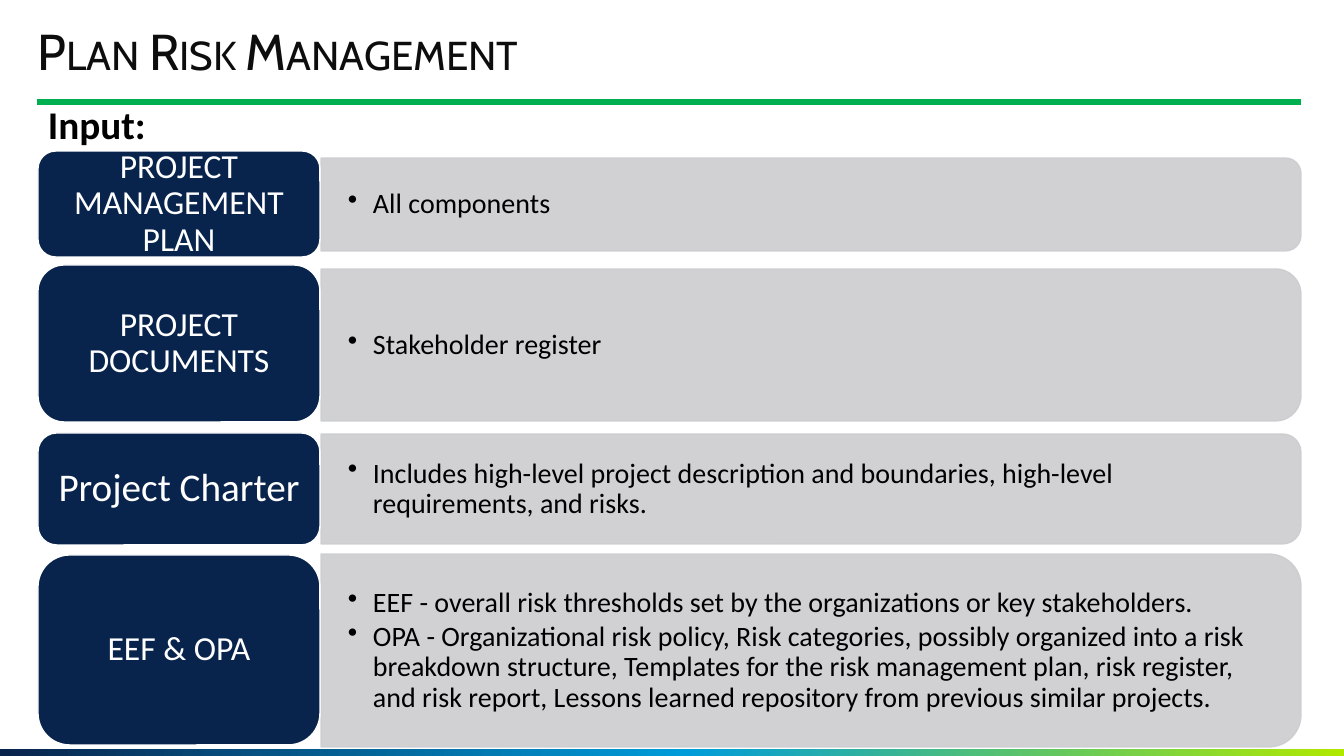
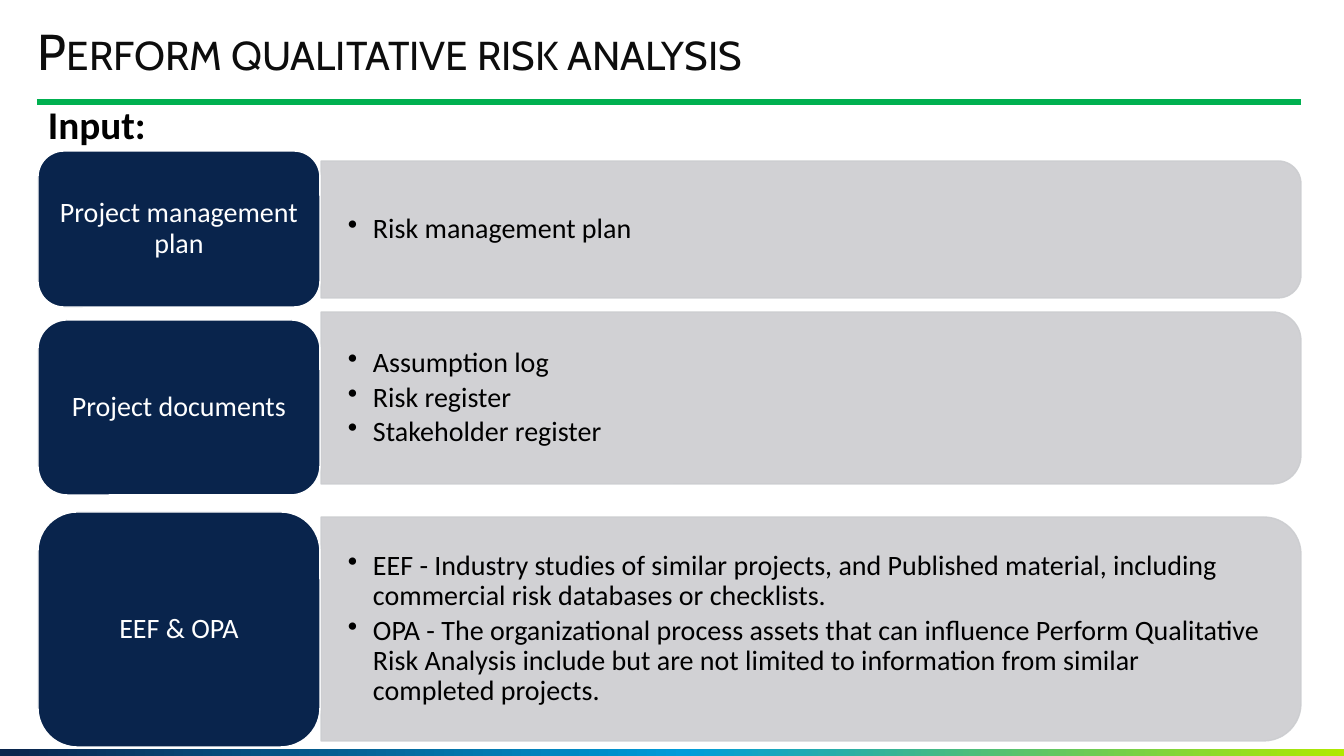
from copy import deepcopy
from dataclasses import dataclass

from pptx import Presentation
from pptx.dml.color import RGBColor
from pptx.enum.shapes import MSO_CONNECTOR, MSO_SHAPE
from pptx.enum.text import MSO_ANCHOR, PP_ALIGN
from pptx.oxml.ns import qn
from pptx.oxml.xmlchemy import OxmlElement
from pptx.util import Emu, Pt

RECTANGLE = MSO_SHAPE.RECTANGLE
ROUNDED = MSO_SHAPE.ROUNDED_RECTANGLE
ROUNDED_ONE_SIDE = MSO_SHAPE.ROUND_2_SAME_RECTANGLE
STRAIGHT = MSO_CONNECTOR.STRAIGHT
MIDDLE, TOP = MSO_ANCHOR.MIDDLE, MSO_ANCHOR.TOP
LEFT, CENTER = PP_ALIGN.LEFT, PP_ALIGN.CENTER

SLIDE_WIDTH, SLIDE_HEIGHT = 1344, 756
EMU_PER_PX = 12192000 / SLIDE_WIDTH

LABEL_LEFT, LABEL_WIDTH = 38, 282
BAR_LEFT, BAR_WIDTH = 321, 980
CORNER_INSET = 0.05  # share of a bar's height taken by its rounded corners
BULLET_INDENT = 25


@dataclass(frozen=True)
class Theme:
    title_font: str = "Cabin"
    body_font: str = "Calibri"
    title_size: int = 36
    heading_size: int = 28
    bullet_size: int = 20
    title: RGBColor = RGBColor(0x0D, 0x0D, 0x0D)
    text: RGBColor = RGBColor(0, 0, 0)
    white: RGBColor = RGBColor(255, 255, 255)
    rule: RGBColor = RGBColor(0x00, 0xB0, 0x50)
    label: RGBColor = RGBColor(0x09, 0x24, 0x4C)
    bar: RGBColor = RGBColor(0xCC, 0xCD, 0xD0)
    bar_opacity: int = 90
    band: tuple = (
        (0, RGBColor(0x09, 0x24, 0x4C)),
        (0.51, RGBColor(0x00, 0x9C, 0xDA)),
        (1, RGBColor(0xB0, 0xE9, 0x00)),
    )


THEME = Theme()


@dataclass(frozen=True)
class InputRow:
    label: str
    label_size: int
    label_top: int
    label_height: int
    bar_top: int
    bar_height: int
    bullets: tuple[str, ...]


@dataclass(frozen=True)
class InputSlide:
    title: str
    rows: tuple[InputRow, ...]


SLIDES = (
    InputSlide("Plan Risk Management", (
        InputRow("PROJECT MANAGEMENT PLAN", 24, 151, 106, 158, 93, ("All components",)),
        InputRow("PROJECT DOCUMENTS", 24, 265, 157, 269, 152, ("Stakeholder register",)),
        InputRow("Project Charter", 28, 433, 112, 434, 110, (
            "Includes high-level project description and boundaries, "
            "high-level requirements, and risks.",
        )),
        InputRow("EEF & OPA", 24, 555, 190, 554, 193, (
            "EEF - overall risk thresholds set by the organizations or key stakeholders.",
            "OPA - Organizational risk policy, Risk categories, possibly organized into a "
            "risk breakdown structure, Templates for the risk management plan, risk "
            "register, and risk report, Lessons learned repository from previous similar "
            "projects.",
        )),
    )),
    InputSlide("Perform qualitative risk analysis", (
        InputRow("Project management plan", 20, 151, 156, 161, 137, ("Risk management plan",)),
        InputRow("Project documents", 20, 320, 175, 312, 172, (
            "Assumption log", "Risk register", "Stakeholder register",
        )),
        InputRow("EEF & OPA", 20, 512, 235, 517, 224, (
            "EEF - Industry studies of similar projects, and Published material, "
            "including commercial risk databases or checklists.",
            "OPA - The organizational process assets that can influence Perform "
            "Qualitative Risk Analysis include but are not limited to information from "
            "similar completed projects.",
        )),
    )),
)


def px(length: float) -> Emu:
    return Emu(round(length * EMU_PER_PX))


def add_box(slide, kind, left: float, top: float, width: float, height: float):
    shape = slide.shapes.add_shape(kind, px(left), px(top), px(width), px(height))
    shape.shadow.inherit = False
    return shape


def paint(shape, fill: RGBColor, line: RGBColor) -> None:
    shape.fill.solid()
    shape.fill.fore_color.rgb = fill
    shape.line.color.rgb = line
    shape.line.width = Pt(1)


def set_frame(text_frame, anchor, horizontal: int, vertical: int) -> None:
    text_frame.word_wrap = True
    text_frame.vertical_anchor = anchor
    text_frame.margin_left = text_frame.margin_right = horizontal
    text_frame.margin_top = text_frame.margin_bottom = vertical


def style(paragraph, font_name: str, size: int, color: RGBColor, alignment=LEFT) -> None:
    paragraph.alignment = alignment
    paragraph.line_spacing = 0.9
    for run in paragraph.runs:
        run.font.name = font_name
        run.font.size = Pt(size)
        run.font.color.rgb = color


def add_bullet(paragraph) -> None:
    properties = paragraph._p.get_or_add_pPr()
    properties.set("marL", str(px(BULLET_INDENT)))
    properties.set("indent", str(-px(BULLET_INDENT)))
    bullet = OxmlElement("a:buChar")
    bullet.set("char", "•")
    properties.append(bullet)


def add_band(slide) -> None:
    band = add_box(slide, RECTANGLE, 0, SLIDE_HEIGHT - 7, SLIDE_WIDTH, 7)
    band.line.fill.background()
    band.fill.gradient()
    band.fill.gradient_angle = 0
    stop_list = band._element.spPr.find(".//" + qn("a:gsLst"))
    stop_list.append(deepcopy(stop_list[0]))
    for stop, (position, color) in zip(band.fill.gradient_stops, THEME.band):
        stop.position = position
        stop.color.rgb = color


def add_rule(slide) -> None:
    rule = slide.shapes.add_connector(STRAIGHT, px(37), px(102), px(1301), px(102))
    rule.line.color.rgb = THEME.rule
    rule.line.width = Pt(4.5)
    rule._element.spPr.append(OxmlElement("a:effectLst"))


def add_headings(slide, title: str) -> None:
    title_box = slide.shapes.add_textbox(px(38), px(27), px(1128), px(55))
    set_frame(title_box.text_frame, TOP, 0, 0)
    title_box.text_frame.text = title
    paragraph = title_box.text_frame.paragraphs[0]
    style(paragraph, THEME.title_font, THEME.title_size, THEME.title)
    paragraph.runs[0].font._element.set("cap", "small")

    heading_box = slide.shapes.add_textbox(px(38), px(101), px(1263), px(55))
    set_frame(heading_box.text_frame, TOP, px(10), px(5))
    heading_box.text_frame.text = "Input:"
    paragraph = heading_box.text_frame.paragraphs[0]
    style(paragraph, THEME.body_font, THEME.heading_size, THEME.text)
    paragraph.runs[0].font.bold = True


def add_bar(slide, row: InputRow) -> None:
    # The bar stands upright and is turned so its round corners face right
    center_x = BAR_LEFT + BAR_WIDTH / 2
    center_y = row.bar_top + row.bar_height / 2
    bar = add_box(slide, ROUNDED_ONE_SIDE, center_x - row.bar_height / 2,
                  center_y - BAR_WIDTH / 2, row.bar_height, BAR_WIDTH)
    bar.rotation = 90
    paint(bar, THEME.bar, THEME.bar)
    for color in bar._element.spPr.iter(qn("a:srgbClr")):
        alpha = OxmlElement("a:alpha")
        alpha.set("val", str(THEME.bar_opacity * 1000))
        color.append(alpha)

    inset = row.bar_height * CORNER_INSET
    box = slide.shapes.add_textbox(px(BAR_LEFT), px(row.bar_top + inset),
                                   px(BAR_WIDTH - inset), px(row.bar_height - 2 * inset))
    set_frame(box.text_frame, MIDDLE, px(27), px(14))
    box.text_frame.text = "\n".join(row.bullets)
    for index, paragraph in enumerate(box.text_frame.paragraphs):
        add_bullet(paragraph)
        style(paragraph, THEME.body_font, THEME.bullet_size, THEME.text)
        if index:
            paragraph.space_before = Pt(3)


def add_label(slide, row: InputRow) -> None:
    label = add_box(slide, ROUNDED, LABEL_LEFT, row.label_top, LABEL_WIDTH, row.label_height)
    paint(label, THEME.label, THEME.white)
    # Insets grow with the type size
    set_frame(label.text_frame, MIDDLE, Pt(row.label_size * 0.3), Pt(row.label_size * 0.15))
    label.text_frame.text = row.label
    style(label.text_frame.paragraphs[0], THEME.body_font, row.label_size, THEME.white, CENTER)


def main() -> None:
    presentation = Presentation()
    presentation.slide_width = px(SLIDE_WIDTH)
    presentation.slide_height = px(SLIDE_HEIGHT)
    blank_layout = presentation.slide_layouts[6]
    for content in SLIDES:
        slide = presentation.slides.add_slide(blank_layout)
        add_band(slide)
        add_rule(slide)
        add_headings(slide, content.title)
        for row in content.rows:
            add_bar(slide, row)
            add_label(slide, row)
    presentation.save("out.pptx")


if __name__ == "__main__":
    main()
